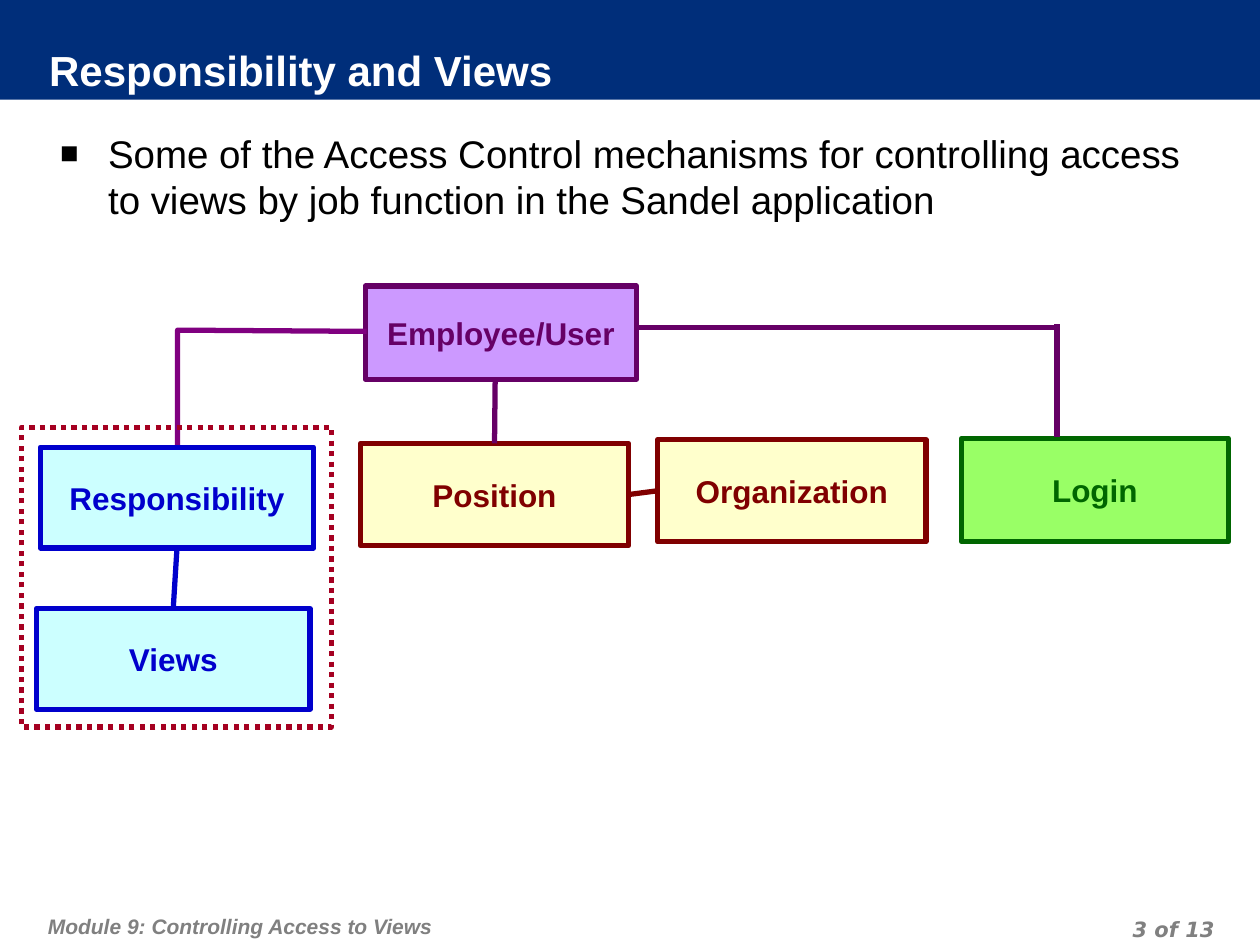
from dataclasses import dataclass

from lxml import etree
from pptx import Presentation
from pptx.dml.color import RGBColor
from pptx.enum.dml import MSO_LINE
from pptx.enum.shapes import MSO_CONNECTOR, MSO_SHAPE
from pptx.enum.text import MSO_ANCHOR, PP_ALIGN
from pptx.oxml.ns import qn
from pptx.util import Inches, Pt

NAVY, WHITE, BLACK, GREY = "002E7A", "FFFFFF", "000000", "808080"
PURPLE, VIOLET, MAROON, BLUE = "660066", "800080", "800000", "0000CC"
GREEN, CRIMSON = "006600", "A50021"
BOTTOM, RIGHT, TOP, LEFT = 2, 3, 0, 1


@dataclass
class Box:
    text: str
    at: tuple[float, float, float, float]
    fill: str
    color: str


@dataclass
class Link:
    start: tuple[float, float]
    end: tuple[float, float]
    color: str
    begin_at: tuple[str, int] | None = None
    end_at: tuple[str, int] | None = None


BOXES = [
    Box("Responsibility", (0.32, 3.55, 2.17, 0.8), "CCFFFF", BLUE),
    Box("Views", (0.29, 4.83, 2.17, 0.8), "CCFFFF", BLUE),
    Box("Employee/User", (2.9, 2.27, 2.15, 0.74), "CC99FF", PURPLE),
    Box("Position", (2.86, 3.52, 2.13, 0.81), "FFFFCC", MAROON),
    Box("Organization", (5.22, 3.49, 2.13, 0.81), "FFFFCC", MAROON),
    Box("Login", (7.63, 3.48, 2.12, 0.82), "99FF66", GREEN),
]

LINKS = [
    Link((5.04, 2.6), (8.39, 2.6), PURPLE),
    Link((8.39, 3.47), (8.39, 2.57), PURPLE),
    Link((3.93, 3.01), (3.93, 3.51), PURPLE, end_at=("Position", TOP)),
    Link((5.23, 3.88), (4.98, 3.88), MAROON,
         ("Organization", LEFT), ("Position", RIGHT)),
    Link((1.39, 4.33), (1.39, 4.83), BLUE,
         ("Responsibility", BOTTOM), ("Views", TOP)),
]


def rgb(value: str) -> RGBColor:
    return RGBColor.from_string(value)


def set_line(shape, color: str) -> None:
    shape.line.color.rgb = rgb(color)
    shape.line.width = Pt(3)


def write(shape, text: str, *, size=18, color=BLACK, bold=True, italic=False,
          font="Arial", align=PP_ALIGN.LEFT, anchor=MSO_ANCHOR.TOP, wrap=True,
          insets=(0.1, 0.05, 0.1, 0.05), spacing=None, bullet=None) -> None:
    tf = shape.text_frame
    tf.word_wrap = wrap
    tf.vertical_anchor = anchor
    (tf.margin_left, tf.margin_top,
     tf.margin_right, tf.margin_bottom) = map(Inches, insets)
    p = tf.paragraphs[0]
    p.alignment = align
    if spacing:
        p.line_spacing = Pt(spacing)
    if bullet:
        add_bullet(p, bullet)
    r = p.add_run()
    r.text = text
    r.font.name, r.font.size = font, Pt(size)
    r.font.bold, r.font.italic = bold, italic
    r.font.color.rgb = rgb(color)


def add_bullet(p, char: str) -> None:
    pPr = p._p.get_or_add_pPr()
    pPr.set("marL", str(Inches(0.38)))
    pPr.set("indent", str(-Inches(0.38)))
    color = etree.SubElement(pPr, qn("a:buClr"))
    etree.SubElement(color, qn("a:srgbClr"), val=BLACK)
    etree.SubElement(pPr, qn("a:buSzPct"), val="80000")
    etree.SubElement(pPr, qn("a:buFont"), typeface="Arial")
    etree.SubElement(pPr, qn("a:buChar"), char=char)


def add_rect(s, at: tuple, fill: str | None = None, line: str | None = None):
    sp = s.shapes.add_shape(MSO_SHAPE.RECTANGLE, *map(Inches, at))
    sp.shadow.inherit = False
    if fill:
        sp.fill.solid()
        sp.fill.fore_color.rgb = rgb(fill)
    else:
        sp.fill.background()
    if line:
        set_line(sp, line)
    else:
        sp.line.fill.background()
    return sp


def add_text(s, at: tuple, text: str, **fmt) -> None:
    write(s.shapes.add_textbox(*map(Inches, at)), text, **fmt)


def add_box(s, box: Box):
    sp = add_rect(s, box.at, box.fill, box.color)
    write(sp, box.text, color=box.color, align=PP_ALIGN.CENTER,
          anchor=MSO_ANCHOR.MIDDLE, wrap=False)
    return sp


def add_link(s, link: Link, boxes: dict) -> None:
    line = s.shapes.add_connector(MSO_CONNECTOR.STRAIGHT,
                                  *map(Inches, link.start + link.end))
    set_line(line, link.color)
    etree.SubElement(line._element.spPr, qn("a:effectLst"))
    if link.begin_at:
        name, side = link.begin_at
        line.begin_connect(boxes[name], side)
    if link.end_at:
        name, side = link.end_at
        line.end_connect(boxes[name], side)


def add_elbow(s, points: list[tuple[float, float]], color: str) -> None:
    start, *rest = [(Inches(x), Inches(y)) for x, y in points]
    builder = s.shapes.build_freeform(*start)
    builder.add_line_segments(rest, close=False)
    sp = builder.convert_to_shape()
    sp.shadow.inherit = False
    sp.fill.background()
    set_line(sp, color)


def main() -> None:
    prs = Presentation()
    prs.slide_width, prs.slide_height = Inches(10), Inches(7.5)
    s = prs.slides.add_slide(prs.slide_layouts[6])

    # Title band and footer
    add_rect(s, (0, 0, 10, 0.79), NAVY)
    footer = dict(size=12, color=GREY, italic=True, spacing=18)
    add_text(s, (0.33, 7.1, 6.18, 0.4), "Module 9: Controlling Access to Views",
             insets=(0.05, 0.1, 0.05, 0.05), **footer)
    add_text(s, (7.36, 7.22, 2.33, 0.25), "3 of 13", font="DejaVu Sans",
             align=PP_ALIGN.RIGHT, insets=(0.05, 0, 0.05, 0), **footer)
    add_text(s, (0.39, 0.38, 9.17, 0.4), "Responsibility and Views", size=24,
             color=WHITE, anchor=MSO_ANCHOR.MIDDLE, insets=(0, 0, 0.05, 0.05))

    # Introduction
    add_text(s, (0.38, 0.93, 9.3, 1.1),
             "Some of the Access Control mechanisms for controlling access "
             "to views by job function in the Sandel application",
             size=22, bold=False, insets=(0.1, 0.1, 0.1, 0.05), bullet="■")

    # Access control diagram
    boxes = {box.text: add_box(s, box) for box in BOXES}
    for link in LINKS:
        add_link(s, link, boxes)
    add_elbow(s, [(1.41, 3.53), (1.41, 2.62), (2.91, 2.63)], VIOLET)

    # Dotted frame around responsibility and views
    frame = add_rect(s, (0.17, 3.39, 2.46, 2.38), line=CRIMSON)
    frame.line.dash_style = MSO_LINE.ROUND_DOT

    prs.save("out.pptx")


if __name__ == "__main__":
    main()
